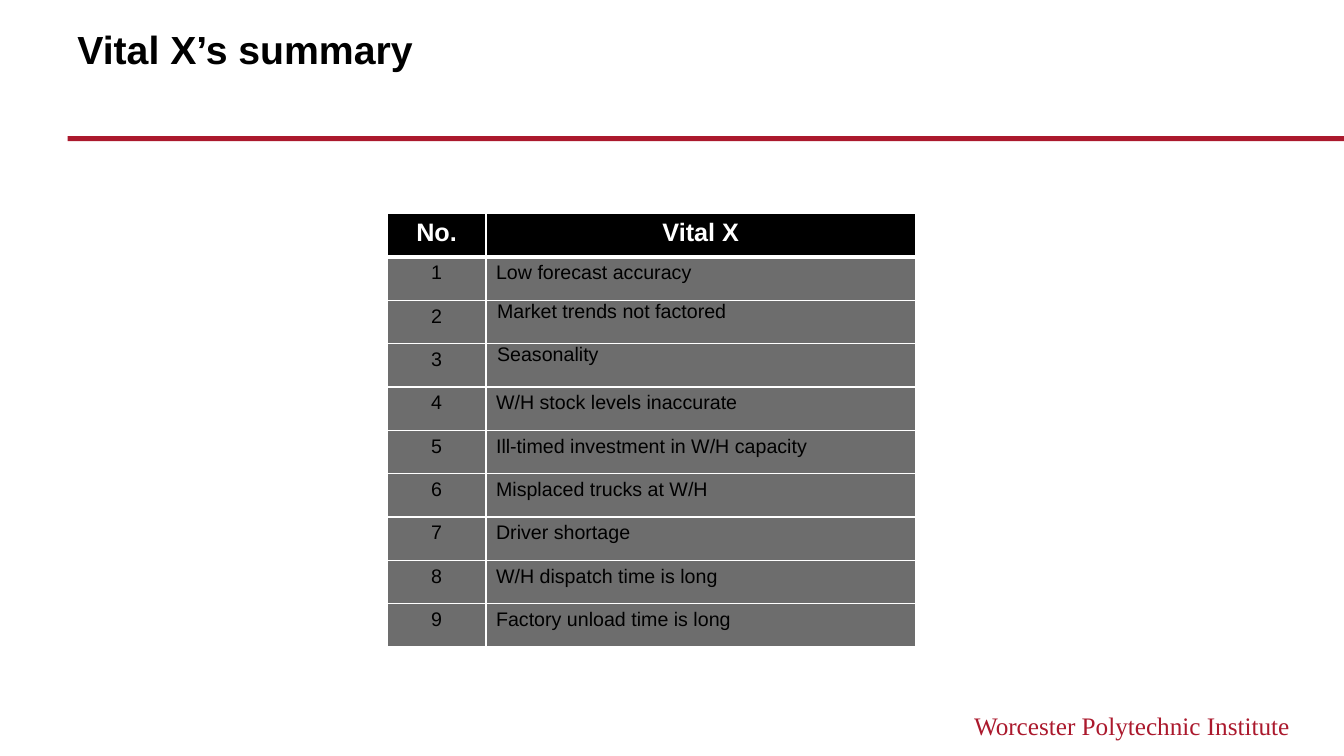
from dataclasses import dataclass

from lxml.etree import SubElement as Sub
from pptx import Presentation
from pptx.dml.color import RGBColor as RGB
from pptx.enum.shapes import MSO_SHAPE as Shape
from pptx.enum.text import PP_ALIGN as Align
from pptx.oxml.ns import qn
from pptx.util import Inches, Pt


@dataclass(frozen=True)
class Theme:
    red: str = "AB192D"
    black: str = "000000"
    white: str = "FFFFFF"
    gray: str = "6D6D6D"
    sans: str = "Arial"
    serif: str = "Times New Roman"
    title: int = 28
    head: int = 18
    body: int = 14
    thin: int = 1
    thick: int = 3


@dataclass(frozen=True)
class Style:
    size: int
    color: str
    font: str = "Arial"
    bold: bool = False
    align: Align = Align.LEFT


@dataclass(frozen=True)
class Label:
    text: str
    box: tuple[float, float, float, float]
    style: Style


@dataclass(frozen=True)
class Vital:
    text: str
    inset: bool = True


T = Theme()
HEAD = Style(T.head, T.white, bold=True, align=Align.CENTER)
NUMBER = Style(T.body, T.black, align=Align.CENTER)
ENTRY = Style(T.body, T.black)

LABELS = [
    Label("Vital X’s summary", (0.67, 0.2, 12, 1.06),
          Style(T.title, T.black, bold=True)),
    Label("Worcester Polytechnic Institute", (8, 7, 4.89, 0.4),
          Style(T.head, T.red, T.serif, align=Align.RIGHT)),
]
VITALS = [
    Vital("Low forecast accuracy"),
    Vital("Market trends not factored", inset=False),
    Vital("Seasonality", inset=False),
    Vital("W/H stock levels inaccurate"),
    Vital("Ill-timed investment in W/H capacity"),
    Vital("Misplaced trucks at W/H"),
    Vital("Driver shortage"),
    Vital("W/H dispatch time is long"),
    Vital("Factory unload time is long"),
]
COLS = (0.98, 4.26)
ROW = 0.43


def write(frame, text: str, style: Style) -> None:
    frame.text = text
    para = frame.paragraphs[0]
    para.alignment = style.align
    font = para.runs[0].font
    font.name, font.size, font.bold = style.font, Pt(style.size), style.bold
    font.color.rgb = RGB.from_string(style.color)


def add_label(slide, label: Label) -> None:
    box = slide.shapes.add_textbox(*map(Inches, label.box))
    box.text_frame.word_wrap = True
    write(box.text_frame, label.text, label.style)


def add_rule(slide) -> None:
    rule = slide.shapes.add_shape(
        Shape.RECTANGLE, *map(Inches, (0.67, 1.35, 12.67, 0.05)))
    rule.shadow.inherit = False
    rule.fill.solid()
    rule.fill.fore_color.rgb = RGB.from_string(T.red)
    rule.line.fill.background()


def set_cell(cell, text: str, style: Style, fill: str,
             top: int = T.thin, bottom: int = T.thin) -> None:
    write(cell.text_frame, text, style)
    # Borders come before the fill in the cell properties
    props = cell._tc.get_or_add_tcPr()
    edges = {"L": T.thin, "R": T.thin, "T": top, "B": bottom}
    for side, width in edges.items():
        line = Sub(props, qn(f"a:ln{side}"), w=str(Pt(width)))
        Sub(Sub(line, qn("a:solidFill")), qn("a:srgbClr"), val=T.white)
    cell.fill.solid()
    cell.fill.fore_color.rgb = RGB.from_string(fill)


def add_grid(slide) -> None:
    count = len(VITALS) + 1
    grid = slide.shapes.add_table(
        count, len(COLS), Inches(3.84), Inches(2.12),
        Inches(sum(COLS)), Inches(ROW * count)).table
    for col, width in zip(grid.columns, COLS):
        col.width = Inches(width)
    for row in grid.rows:
        row.height = Inches(ROW)

    # Header row
    for col, text in enumerate(("No.", "Vital X")):
        set_cell(grid.cell(0, col), text, HEAD, T.black, bottom=T.thick)

    # Numbered rows
    for num, vital in enumerate(VITALS, 1):
        top = T.thick if num == 1 else T.thin
        set_cell(grid.cell(num, 0), str(num), NUMBER, T.gray, top)
        cell = grid.cell(num, 1)
        set_cell(cell, vital.text, ENTRY, T.gray, top)
        if not vital.inset:
            cell.margin_left = Inches(0.11)
            cell.margin_top = cell.margin_right = cell.margin_bottom = 0


def main() -> None:
    deck = Presentation()
    deck.slide_width, deck.slide_height = Inches(13.33), Inches(7.5)
    slide = deck.slides.add_slide(deck.slide_layouts[6])
    add_rule(slide)
    add_grid(slide)
    for label in LABELS:
        add_label(slide, label)
    deck.save("out.pptx")


if __name__ == "__main__":
    main()
